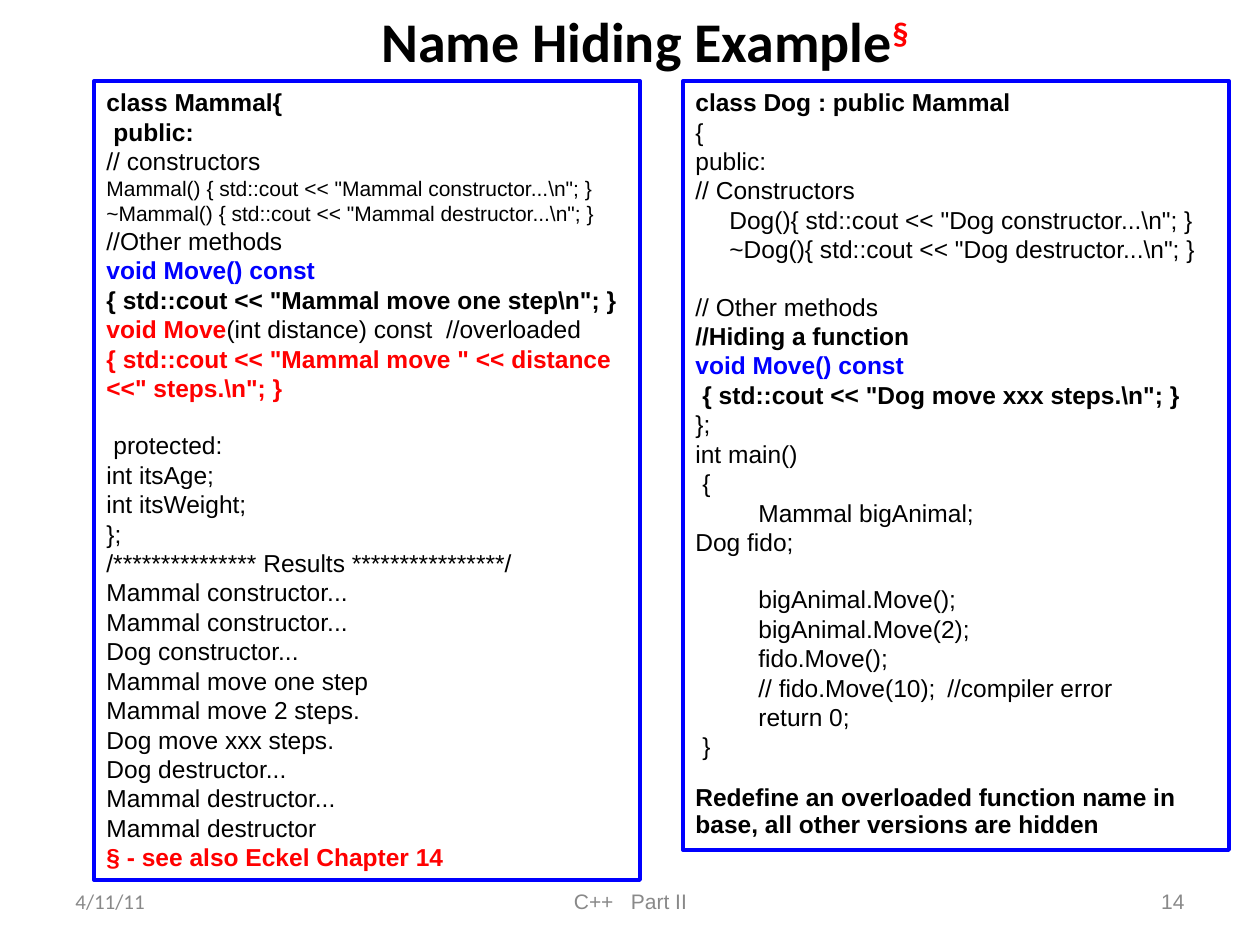
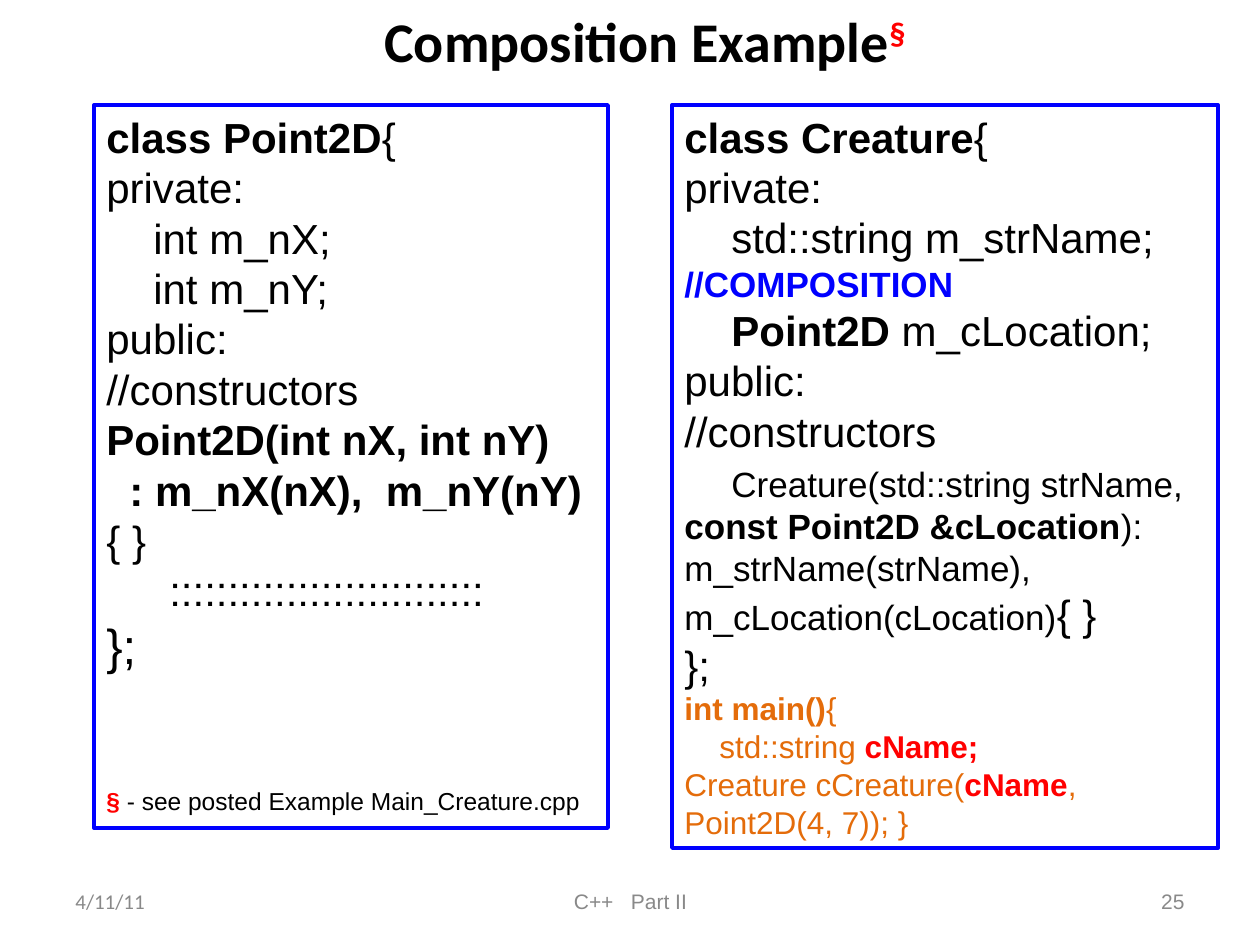
from dataclasses import dataclass

from pptx import Presentation
from pptx.dml.color import RGBColor
from pptx.enum.shapes import MSO_SHAPE as Shape
from pptx.enum.text import MSO_ANCHOR as Anchor, MSO_AUTO_SIZE as AutoSize, PP_ALIGN as Align
from pptx.util import Emu, Pt

BLACK = RGBColor(0x00, 0x00, 0x00)
BLUE = RGBColor(0x00, 0x00, 0xFF)
RED = RGBColor(0xFF, 0x00, 0x00)
ORANGE = RGBColor(0xE4, 0x6C, 0x0A)
GRAY = RGBColor(0x89, 0x89, 0x89)

CODE_FONT = "Arial"
TITLE_FONT = "Calibri"
TITLE_ONLY = 5
PX_PER_INCH = 126
INDENT = 63  # one tab step


def px(length):
    return Emu(round(length * 914400 / PX_PER_INCH))


# Content model: a code line is made of runs
@dataclass
class Run:
    text: str
    color: RGBColor = BLACK
    bold: bool = False
    size: int = None


@dataclass
class Line:
    runs: list
    size: int = None
    indent: int = 0
    gap: int = 0
    spacing: float = 1.0


def bold(text, color=BLACK, size=None):
    return Run(text, color, True, size)


def line(*parts, **layout):
    runs = [Run(part) if isinstance(part, str) else part for part in parts]
    return Line(runs, **layout)


# Text helpers
def style(run, font_name, size, color, is_bold=False):
    run.font.name = font_name
    run.font.size = Pt(size)
    run.font.bold = is_bold
    run.font.color.rgb = color


def prepare_frame(frame, anchor):
    frame.word_wrap = True
    frame.auto_size = AutoSize.NONE
    frame.vertical_anchor = anchor
    frame.margin_left = frame.margin_right = Pt(7.2)
    frame.margin_top = frame.margin_bottom = Pt(3.6)


def write_line(paragraph, code, panel_size):
    paragraph.alignment = Align.LEFT
    paragraph.space_before = Pt(code.gap)
    paragraph.line_spacing = code.spacing
    properties = paragraph._p.get_or_add_pPr()
    properties.set("marL", "0")
    properties.set("indent", str(px(code.indent)))
    for part in code.runs:
        run = paragraph.add_run()
        run.text = part.text
        style(run, CODE_FONT, part.size or code.size or panel_size, part.color, part.bold)


# Slide elements
def add_title(slide, heading):
    title = slide.shapes.title
    title.left, title.top, title.width, title.height = px(94), px(0), px(1102), px(81)
    frame = title.text_frame
    prepare_frame(frame, Anchor.TOP)
    frame.text = heading
    paragraph = frame.paragraphs[0]
    paragraph.alignment = Align.CENTER
    style(paragraph.runs[0], TITLE_FONT, 32, BLACK, True)
    mark = paragraph.add_run()
    mark.text = "§"
    style(mark, TITLE_FONT, 32, RED, True)
    mark._r.get_or_add_rPr().set("baseline", "30000")


def add_code_panel(slide, left, top, width, height, size, lines):
    panel = slide.shapes.add_shape(Shape.RECTANGLE, px(left), px(top), px(width), px(height))
    panel.shadow.inherit = False
    panel.fill.background()
    panel.line.color.rgb = BLUE
    panel.line.width = Pt(2.25)
    frame = panel.text_frame
    prepare_frame(frame, Anchor.TOP)
    for index, code in enumerate(lines):
        paragraph = frame.add_paragraph() if index else frame.paragraphs[0]
        write_line(paragraph, code, size)


def add_footer(slide, number):
    for left, width, text, font_name, alignment in (
        (63, 294, "4/11/11", TITLE_FONT, Align.LEFT),
        (431, 399, "C++   Part II", CODE_FONT, Align.CENTER),
        (903, 294, str(number), CODE_FONT, Align.RIGHT),
    ):
        frame = slide.shapes.add_textbox(px(left), px(876), px(width), px(50)).text_frame
        prepare_frame(frame, Anchor.MIDDLE)
        frame.text = text
        paragraph = frame.paragraphs[0]
        paragraph.alignment = alignment
        style(paragraph.runs[0], font_name, 12, GRAY)


def add_example(deck, heading, number):
    slide = deck.slides.add_slide(deck.slide_layouts[TITLE_ONLY])
    add_title(slide, heading)
    add_footer(slide, number)
    return slide


# Code shown on the slides
MAMMAL = [
    line(bold("class Mammal{")),
    line(bold("public:"), indent=7),
    line("// constructors"),
    line(r'Mammal() { std::cout << "Mammal constructor...\n"; }', size=12),
    line(r'~Mammal() { std::cout << "Mammal destructor...\n"; }', size=12),
    line("//Other methods"),
    line(bold("void Move() const", BLUE)),
    line(bold(r'{ std::cout << "Mammal move one step\n"; }')),
    line(bold("void Move", RED), "(int distance) const  //overloaded ",
         bold(r'{ std::cout << "Mammal move " << distance <<" steps.\n"; }', RED)),
    line("protected:", indent=7, gap=16),
    line("int itsAge;"),
    line("int itsWeight;"),
    line("};"),
    line("/*************** Results ****************/"),
    line("Mammal constructor..."),
    line("Mammal constructor..."),
    line("Dog constructor..."),
    line("Mammal move one step"),
    line("Mammal move 2 steps."),
    line("Dog move xxx steps."),
    line("Dog destructor..."),
    line("Mammal destructor..."),
    line("Mammal destructor"),
    line(bold("§ - see also Eckel Chapter 14", RED)),
]

DOG = [
    line(bold("class Dog : public Mammal")),
    line("{"),
    line("public:"),
    line("// Constructors"),
    line(r'Dog(){ std::cout << "Dog constructor...\n"; }', indent=34),
    line(r'~Dog(){ std::cout << "Dog destructor...\n"; }', indent=34),
    line("// Other methods", gap=16),
    line(bold("//Hiding a function")),
    line(bold("void Move() const", BLUE)),
    line(bold(r'{ std::cout << "Dog move xxx steps.\n"; }'), indent=7),
    line("};"),
    line("int main()"),
    line("{", indent=7),
    line("Mammal bigAnimal;", indent=INDENT),
    line("Dog fido;"),
    line("bigAnimal.Move();", indent=INDENT, gap=16),
    line("bigAnimal.Move(2);", indent=INDENT),
    line("fido.Move();", indent=INDENT),
    line("// fido.Move(10);\t//compiler error", indent=INDENT),
    line("return 0;", indent=INDENT),
    line("}", indent=7),
    line(bold("Redefine an overloaded function name in base, all other versions are hidden"),
         gap=14, spacing=0.9),
]

POINT = [
    line(bold("class Point2D"), "{"),
    line("private:"),
    line("int m_nX;", indent=47),
    line("int m_nY;", indent=47),
    line("public:"),
    line("//constructors"),
    line(bold("Point2D(int nX, int nY)")),
    line(bold(": m_nX(nX),  m_nY(nY) "), "{ }", indent=23),
    line(":" * 27, indent=INDENT),
    line("};", size=28),
    line(bold("§", RED), " - see posted Example Main_Creature.cpp", size=14, gap=64),
]

CREATURE = [
    line(bold("class Creature"), "{"),
    line("private:"),
    line("std::string m_strName;", indent=47),
    line(bold("//COMPOSITION", BLUE), size=20),
    line(bold("Point2D "), "m_cLocation;", indent=47),
    line("public:"),
    line("//constructors"),
    line("Creature(std::string strName, ", bold("const Point2D &cLocation"),
         "): m_strName(strName), m_cLocation(cLocation)", Run("{ }", size=24),
         size=20, indent=47, gap=4),
    line("};"),
    line(bold("int main()", ORANGE), Run("{", ORANGE), size=18),
    line(Run("std::string ", ORANGE), bold("cName;", RED), size=18, indent=35),
    line(Run("Creature cCreature(", ORANGE), bold("cName", RED),
         Run(", Point2D(4, 7)); }", ORANGE), size=18),
]


def main():
    deck = Presentation()
    deck.slide_width, deck.slide_height = px(1260), px(945)

    hiding = add_example(deck, "Name Hiding Example", 14)
    add_code_panel(hiding, 94, 81, 546, 799, 14, MAMMAL)
    add_code_panel(hiding, 683, 81, 546, 769, 14, DOG)

    composition = add_example(deck, "Composition Example", 25)
    add_code_panel(composition, 94, 105, 514, 723, 24, POINT)
    add_code_panel(composition, 672, 105, 546, 743, 24, CREATURE)

    deck.save("out.pptx")


if __name__ == "__main__":
    main()
